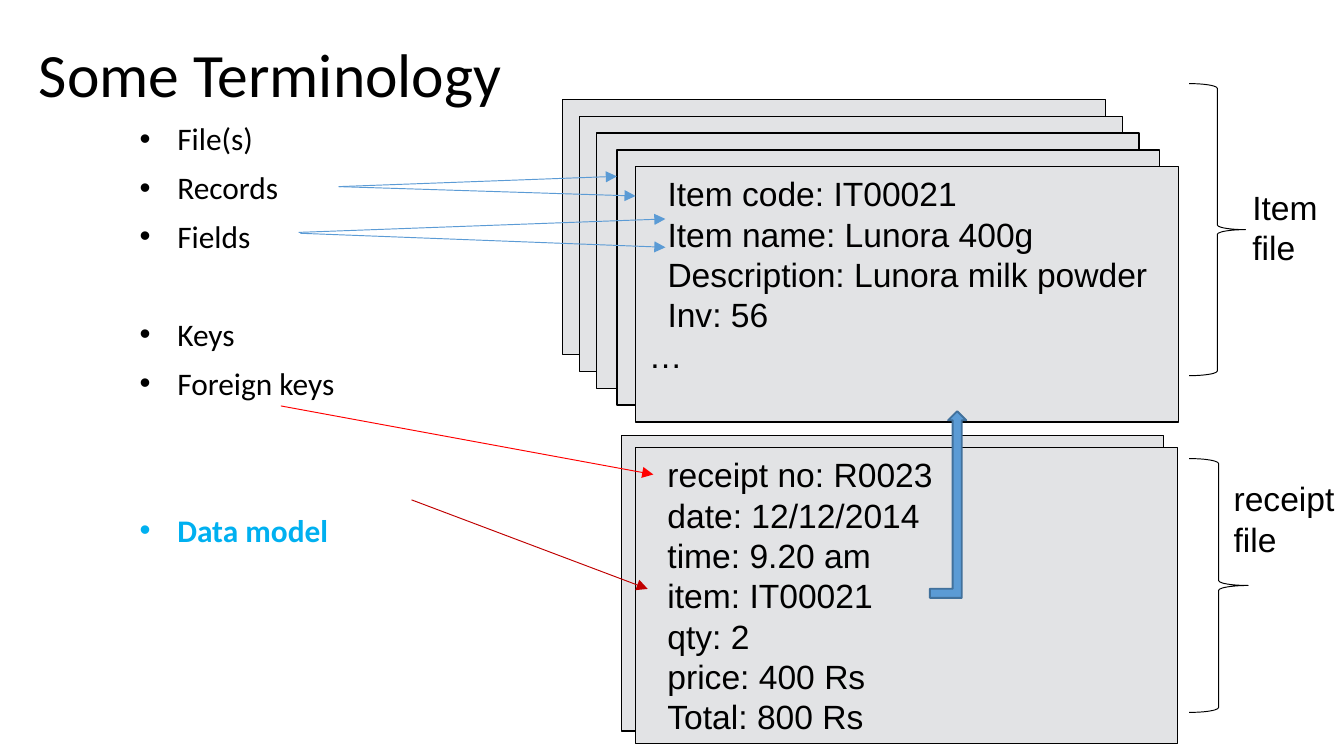
from lxml import etree
from pptx import Presentation
from pptx.dml.color import RGBColor
from pptx.enum.shapes import MSO_CONNECTOR, MSO_SHAPE
from pptx.enum.text import MSO_ANCHOR, PP_ALIGN
from pptx.oxml.ns import qn
from pptx.util import Pt

RECTANGLE = MSO_SHAPE.RECTANGLE
BRACE = MSO_SHAPE.RIGHT_BRACE
BENT_ARROW = MSO_SHAPE.BENT_UP_ARROW
STRAIGHT = MSO_CONNECTOR.STRAIGHT
LEFT = PP_ALIGN.LEFT
TOP = MSO_ANCHOR.TOP
MIDDLE = MSO_ANCHOR.MIDDLE

COLORS = {
    "text": "000000",
    "card": "E2E3E5",
    "accent": "00B0F0",
    "blue": "5B9BD5",
    "blue_edge": "41719C",
    "red": "FF0000",
    "dark_red": "C00000",
}

TERMS = [
    ("File(s)", 0, "text"),
    ("Records", 6, "text"),
    ("Fields", 6, "text"),
    ("Keys", 32.3, "text"),
    ("Foreign keys", 6, "text"),
    ("Data model", 58.5, "accent"),
]
ITEM_FIELDS = [
    "Item code: IT00021",
    "Item name: Lunora 400g",
    "Description: Lunora milk powder",
    "Inv: 56",
    "…",
]
RECEIPT_FIELDS = [
    "receipt no: R0023",
    "date: 12/12/2014",
    "time: 9.20 am",
    "item: IT00021",
    "qty: 2",
    "price: 400 Rs",
    "Total: 800 Rs",
]
POINTERS = [
    ((181.5, 100), (330.5, 94.5), "blue"),
    ((181.5, 100), (340.5, 105), "blue"),
    ((160, 124.5), (356.5, 117.3), "blue"),
    ((161, 125), (356.5, 132.5), "blue"),
    ((220.5, 267.8), (347, 315.5), "dark_red"),
    ((150.5, 217.5), (350, 254.2), "red"),
]


def rgb(name):
    return RGBColor.from_string(COLORS[name])


def style_font(para, size, family, color="text", bold=False):
    para.font.size = Pt(size)
    para.font.name = family
    para.font.color.rgb = rgb(color)
    para.font.bold = bold


def add_paragraph(frame, index, text):
    para = frame.add_paragraph() if index else frame.paragraphs[0]
    para.text = text
    para.alignment = LEFT
    return para


def add_shape(page, kind, box, fill, edge, width):
    shape = page.shapes.add_shape(kind, *map(Pt, box))
    shape.shadow.inherit = False
    if fill:
        shape.fill.solid()
        shape.fill.fore_color.rgb = rgb(fill)
    else:
        shape.fill.background()
    shape.line.color.rgb = rgb(edge)
    shape.line.width = Pt(width)
    return shape


def add_text_box(page, box, anchor=TOP):
    frame = page.shapes.add_textbox(*map(Pt, box)).text_frame
    frame.word_wrap = True
    frame.vertical_anchor = anchor
    return frame


def add_label(page, box, text, size, family, anchor=TOP):
    frame = add_text_box(page, box, anchor)
    style_font(add_paragraph(frame, 0, text), size, family)


def add_terms(page, box):
    frame = add_text_box(page, box)
    for index, (text, gap, color) in enumerate(TERMS):
        para = add_paragraph(frame, index, text)
        para.space_before = Pt(gap)
        props = para._p.get_or_add_pPr()
        props.set("marL", str(Pt(20.25)))
        props.set("indent", str(-Pt(20.25)))
        bullet_color = etree.SubElement(props, qn("a:buClr"))
        etree.SubElement(bullet_color, qn("a:srgbClr"), val=COLORS[color])
        etree.SubElement(props, qn("a:buFont"), typeface="Arial")
        etree.SubElement(props, qn("a:buChar"), char="•")
        style_font(para, 16.8, "Calibri", color, color == "accent")


def add_record_stack(page, box, offsets, fields):
    left, top, width, height = box
    for across, down in offsets:
        card = add_shape(page, RECTANGLE, (left + across, top + down, width, height),
                         "card", "text", 0.75)
    frame = card.text_frame
    frame.word_wrap = True
    frame.vertical_anchor = TOP
    for index, text in enumerate(fields):
        para = add_paragraph(frame, index, text)
        if text != "…":
            para._p.get_or_add_pPr().set("marL", str(Pt(10)))
        style_font(para, 18, "Arial")


def add_pointer(page, start, end, color):
    pointer = page.shapes.add_connector(STRAIGHT, *map(Pt, start + end))
    pointer.line.color.rgb = rgb(color)
    pointer.line.width = Pt(0.5)
    etree.SubElement(pointer.line._get_or_add_ln(), qn("a:tailEnd"), type="triangle")
    etree.SubElement(pointer._element.spPr, qn("a:effectLst"))


def add_file_brace(page, brace_box, label_box, text):
    add_shape(page, BRACE, brace_box, None, "text", 0.5)
    add_label(page, label_box, text, 18, "Arial")


def main():
    deck = Presentation()
    deck.slide_width, deck.slide_height = Pt(720), Pt(405)
    page = deck.slides.add_slide(deck.slide_layouts[6])

    add_label(page, (13.7, 0, 621, 78.5), "Some Terminology", 33, "Calibri", MIDDLE)
    add_terms(page, (67.7, 60.5, 227.5, 257))

    item_offsets = [(across, 9 * step) for step, across in enumerate((0, 9, 18, 29, 39))]
    add_record_stack(page, (301.5, 53.3, 290.8, 136.8), item_offsets, ITEM_FIELDS)
    add_record_stack(page, (333, 233.3, 290.5, 158.4), [(0, 0), (7.5, 6.5)], RECEIPT_FIELDS)

    for start, end, color in POINTERS:
        add_pointer(page, start, end, color)
    add_shape(page, BENT_ARROW, (498.2, 220.3, 19.5, 100), "blue", "blue_edge", 1)

    add_file_brace(page, (637, 44.8, 30.3, 156.5), (663.8, 96.5, 59, 50.4), "Item file")
    add_file_brace(page, (637, 245.7, 31.7, 136), (653.8, 252.7, 74.2, 50.4), "receipt file")

    deck.save("out.pptx")


if __name__ == "__main__":
    main()
